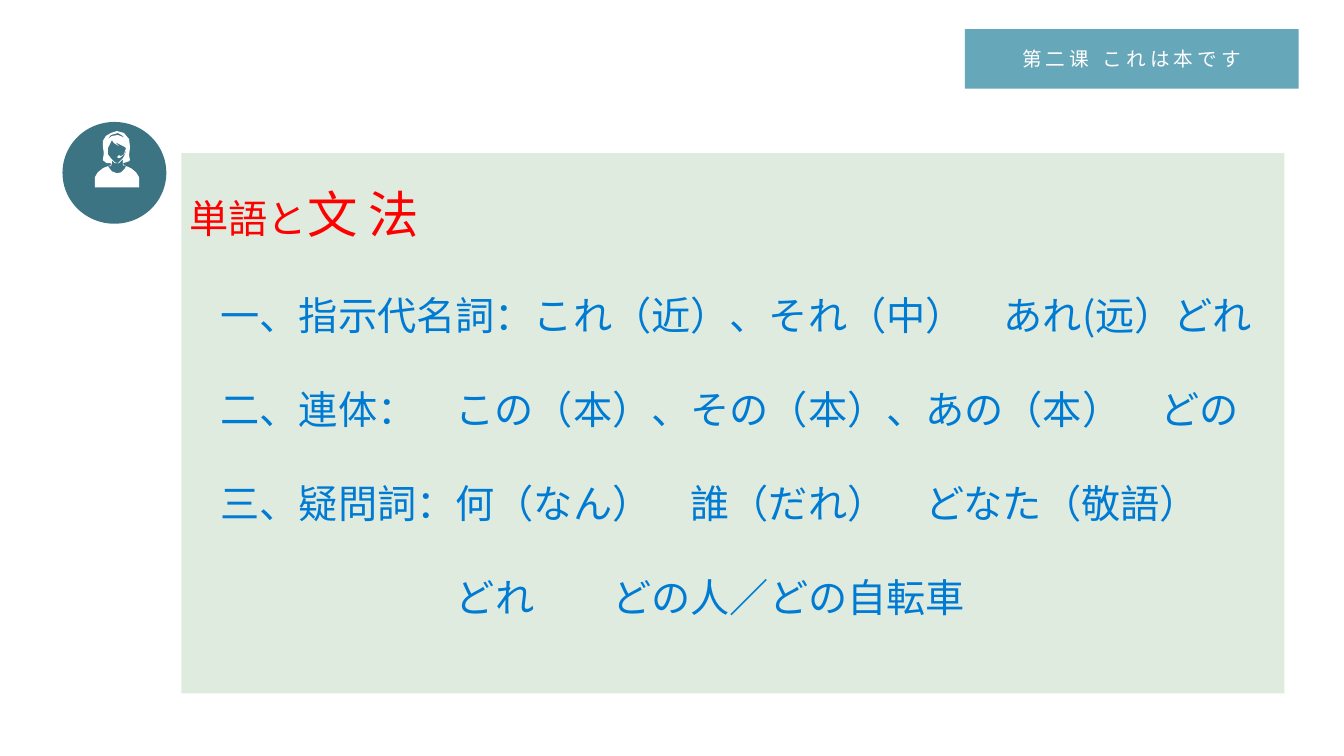
from pptx import Presentation
from pptx.dml.color import RGBColor
from pptx.enum.shapes import MSO_SHAPE
from pptx.enum.text import MSO_ANCHOR, MSO_AUTO_SIZE, PP_ALIGN
from pptx.oxml.ns import qn
from pptx.util import Inches, Pt

OVAL = MSO_SHAPE.OVAL
TOP, MIDDLE = MSO_ANCHOR.TOP, MSO_ANCHOR.MIDDLE
LEFT, CENTER = PP_ALIGN.LEFT, PP_ALIGN.CENTER
NO_FIT = MSO_AUTO_SIZE.NONE

FONT = "Noto Sans CJK SC"
WHITE = RGBColor(0xFF, 0xFF, 0xFF)
RED = RGBColor(0xFF, 0x00, 0x00)
BLUE = RGBColor(0x00, 0x7B, 0xD3)
MINT = RGBColor(0xDF, 0xEB, 0xDF)
TEAL = RGBColor(0x66, 0xA7, 0xB9)
DARK_TEAL = RGBColor(0x3C, 0x74, 0x83)

EM = 28 / 72  # one full-width character of the list, in inches
GRAMMAR_LINES = [  # indent in characters, text
    (1, "一、指示代名詞：これ（近）、それ（中）　あれ(远）どれ"),
    (1, "二、連体：　この（本）、その（本）、あの（本）　どの"),
    (1, "三、疑問詞：何（なん）　誰（だれ）　どなた（敬語）"),
    (7, "どれ　　どの人／どの自転車"),
]

# Outlines of the operator icon, in hundredths of an inch
OPERATOR_OUTLINES = [
    # hair and shoulders
    [(36, 38), (34, 37), (29, 35), (28, 33), (34, 31), (35, 30), (34, 25), (35, 17),
     (34, 9), (29, 3), (22, 1), (16, 3), (11, 6), (8, 11), (8, 16), (9, 23), (8, 30),
     (12, 33), (16, 33), (16, 35), (10, 37), (8, 38), (3, 42), (0, 47), (0, 57),
     (44, 57), (44, 47), (41, 42)],
    # gap below the headband
    [(23, 3), (28, 6), (31, 11), (28, 7), (23, 5), (17, 6), (12, 10), (16, 5)],
    # face and microphone
    [(16, 28), (13, 24), (13, 18), (17, 10), (19, 13), (24, 16), (20, 12), (30, 17),
     (25, 13), (31, 18), (29, 24), (26, 26), (24, 25), (22, 27), (24, 28), (26, 27),
     (30, 23), (31, 19), (31, 22), (28, 28), (23, 33), (20, 32)],
    # neck
    [(30, 38), (26, 42), (22, 43), (17, 41), (13, 36), (16, 36), (17, 33), (17, 30),
     (20, 33), (24, 33), (28, 29), (28, 35), (31, 36)],
]


def paint(shape, color):
    shape.fill.solid()
    shape.fill.fore_color.rgb = color
    shape.line.fill.background()


def place(shape, box):
    for name, value in zip(("left", "top", "width", "height"), box):
        setattr(shape, name, Inches(value))


def set_frame(frame, anchor, inset=0):
    settings = dict(word_wrap=True, auto_size=NO_FIT, vertical_anchor=anchor,
                    margin_left=inset, margin_right=inset,
                    margin_top=inset, margin_bottom=inset)
    for name, value in settings.items():
        setattr(frame, name, value)


def set_para(para, align, spacing, indent=0):
    settings = dict(alignment=align, line_spacing=spacing,
                    space_before=Pt(0), space_after=Pt(0))
    for name, value in settings.items():
        setattr(para, name, value)
    properties = para._p.get_or_add_pPr()
    properties.set("marL", str(Inches(indent)))
    properties.set("indent", "0")
    properties.append(properties.makeelement(qn("a:buNone"), {}))


def add_span(para, text, size, color):
    span = para.add_run()
    span.text = text
    for name, value in dict(size=Pt(size), name=FONT, bold=False).items():
        setattr(span.font, name, value)
    span.font.color.rgb = color
    properties = span._r.get_or_add_rPr()
    properties.append(properties.makeelement(qn("a:ea"), {"typeface": FONT}))
    return span


def fill_lesson_tag(title, box):
    place(title, box)
    paint(title, TEAL)
    set_frame(title.text_frame, MIDDLE)
    para = title.text_frame.paragraphs[0]
    set_para(para, CENTER, 1)
    span = add_span(para, "第二课 これは本です", 14, WHITE)
    span._r.get_or_add_rPr().set("spc", "300")


def fill_grammar_panel(body, box):
    place(body, box)
    paint(body, MINT)
    frame = body.text_frame
    set_frame(frame, TOP)
    heading = frame.paragraphs[0]
    set_para(heading, LEFT, 1.5, 0.08)
    add_span(heading, "単語と", 28, RED)
    add_span(heading, "文 法", 36, RED)
    for indent, text in GRAMMAR_LINES:
        para = frame.add_paragraph()
        set_para(para, LEFT, 2, indent * EM)
        add_span(para, text, 28, BLUE)


def add_operator_badge(page, box):
    left, top, width, height = box
    disc = page.shapes.add_shape(OVAL, *map(Inches, box))
    paint(disc, DARK_TEAL)
    disc.shadow.inherit = False

    first, *holes = OPERATOR_OUTLINES
    builder = page.shapes.build_freeform(*first[0], scale=Inches(0.01))
    builder.add_line_segments(first[1:], close=True)
    for outline in holes:
        builder.move_to(*outline[0])
        builder.add_line_segments(outline[1:], close=True)
    operator = builder.convert_to_shape(Inches(left + 0.32), Inches(top + 0.08))
    paint(operator, WHITE)
    operator.shadow.inherit = False


deck = Presentation()
deck.slide_width, deck.slide_height = Inches(13.33), Inches(7.5)
page = deck.slides.add_slide(deck.slide_layouts[1])  # title and content

fill_grammar_panel(page.placeholders[1], (1.8, 1.52, 10.94, 5.36))
add_operator_badge(page, (0.62, 1.21, 1.03, 1.01))
fill_lesson_tag(page.shapes.title, (9.57, 0.29, 3.31, 0.59))

deck.save("out.pptx")
